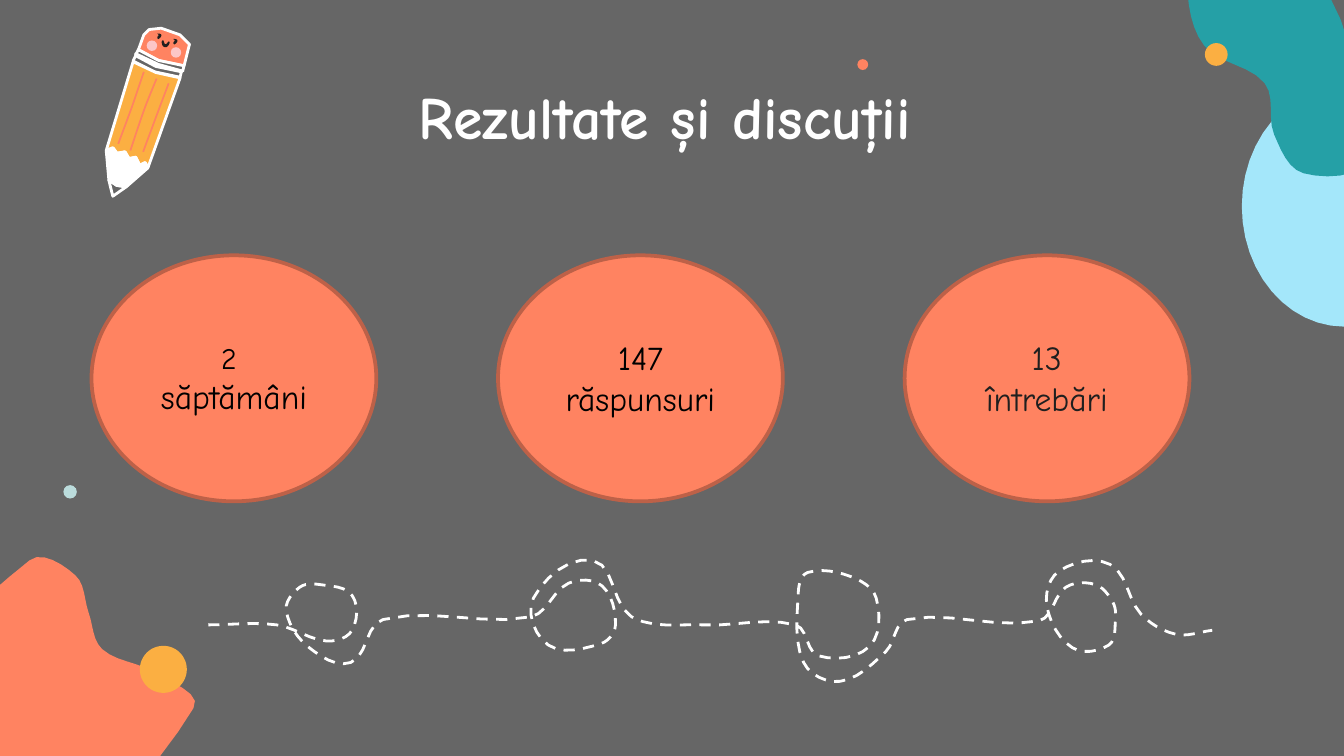
from math import cos, hypot, pi, sin

from pptx import Presentation
from pptx.dml.color import RGBColor
from pptx.enum.dml import MSO_LINE
from pptx.enum.shapes import MSO_SHAPE
from pptx.enum.text import MSO_ANCHOR, MSO_AUTO_SIZE, PP_ALIGN
from pptx.util import Pt

FONT = "Comic Neue"
GRAY, WHITE, BLACK, INK = "666666", "FFFFFF", "000000", "1F1F1F"
CORAL, RUST, AMBER, TEAL = "FF8361", "BD6148", "FBAF42", "25A0A6"
SKY, MIST, PINK, TAUPE = "A4E7FA", "BBDCDC", "FCC6C7", "897E7E"
GRID = 0.72  # points per unit in the outlines below
STEPS = 6  # straight pieces per curve

# Content
heading = "Rezultate și discuții"
# lines with their sizes, colour, text box (left, top, width, height) in points
findings = [
    ([("2 ", 16), ("săptămâni", 18)], BLACK, (68.4, 178.6, 113.8, 48.2)),
    ([("147 răspunsuri", 18)], BLACK, (284.4, 177.1, 117.4, 51.1)),
    ([("13", 18), ("întrebări", 18)], INK, (516.2, 177.1, 89.3, 51.1)),
]

# Corner decoration: nodes of smooth outlines, and dots as centre and diameter in points
half_moon = [(1000 - 76 * sin(pi * i / 24) - 0 * i, 153.5 - 89.5 * cos(pi * i / 24))
             for i in range(25)]
coral_blob = [(22, 417), (-44, 510), (50, 603), (144, 527), (114, 500), (76, 483),
              (66, 456), (56, 428)]
teal_blob = [(892, -25), (883, -12), (896, 34), (941, 62), (948, 100), (970, 129),
             (1014, 118), (972, -29)]
dots = [(CORAL, 462.2, 34.6, 5.8), (AMBER, 87.5, 358.6, 25.2),
        (AMBER, 651.6, 29.2, 12.2), (MIST, 37.6, 263.5, 7.2)]

# Dashed trail, one row per loop
dashed_trail = [
    (155, 465), (206, 465), (243, 477), (262, 469), (262, 443), (238, 435), (223, 437),
    (213, 454), (229, 481), (261, 493), (285, 461),
    (395, 459), (423, 434), (448, 436), (458, 465), (447, 479), (408, 480), (397, 445),
    (441, 417), (470, 459), (524, 465),
    (592, 465), (609, 488), (647, 481), (652, 445), (633, 429), (601, 426), (594, 441),
    (598, 493), (625, 507), (659, 485), (675, 461),
    (773, 462), (793, 437), (815, 435), (828, 448), (830, 461), (825, 480), (798, 482),
    (779, 451), (788, 425), (826, 420), (849, 457), (875, 472), (902, 469),
]

# Pencil, straight-sided parts from tip to eraser
scallops = [(110, 125), (108, 121), (104, 123), (101, 117), (96, 118), (93, 113),
            (87, 114), (84, 110), (79, 112)]
tip_edge = [(81, 134), (87, 138), (94, 139)]
band = [(103, 37), (118, 45), (137, 49), (136, 53), (117, 49), (101, 41)]
lower_band = [(x - 2, y + 4.5) for x, y in band]
pencil_body = [
    (GRAY, tip_edge + [(84, 146)]),
    (CORAL, band[:3] + [(141, 33), (134, 26), (120, 21), (111, 22), (107, 26)]),
    (GRAY, band),
    (GRAY, lower_band),
    (AMBER, scallops + [(99, 46), (116, 54), (134, 58)]),
    (WHITE, scallops + tip_edge),
    (TAUPE, band[3:] + [(101, 40), (118, 48)]),
]
pencil_stripes = [
    [(125.5, 62), (118, 82), (106.5, 113)],
    [(107, 53.5), (98, 80), (88, 107)],
    [(116.5, 58.5), (107.5, 81), (97, 112)],
]
eye = [(117, 25), (120, 26), (118, 29), (117, 28), (118, 26)]
second_eye = [(x + 12, y + 4) for x, y in eye]
smile = [(121, 30), (121, 34), (124, 35), (126, 31), (123, 33)]
cheeks = [(PINK, 94.3, 28.1, 5.6), (PINK, 81.4, 24.5, 5.6)]


def color(code):
    return RGBColor.from_string(code)


def paint(shape, fill=None, line=None, width=1.5):
    shape.shadow.inherit = False
    if fill:
        shape.fill.solid()
        shape.fill.fore_color.rgb = color(fill)
    else:
        shape.fill.background()
    if line:
        shape.line.color.rgb = color(line)
        shape.line.width = Pt(width)
    else:
        shape.line.fill.background()
    return shape


def smooth(nodes, closed=False):
    """Bezier curves through the nodes, each handle a third of its span."""
    count = len(nodes)

    def node(i):
        return nodes[i % count] if closed else nodes[min(max(i, 0), count - 1)]

    def handle(i, span):
        (x0, y0), (x1, y1) = node(i - 1), node(i + 1)
        scale = span / 3 / hypot(x1 - x0, y1 - y0)
        return (x1 - x0) * scale, (y1 - y0) * scale

    points = [nodes[0]]
    for i in range(count if closed else count - 1):
        start, end = node(i), node(i + 1)
        span = hypot(end[0] - start[0], end[1] - start[1])
        leaving, arriving = handle(i, span), handle(i + 1, span)
        for step in range(1, STEPS + 1):
            t = step / STEPS
            u = 1 - t
            points.append(tuple(
                u ** 3 * a + 3 * u * u * t * (a + p) + 3 * u * t * t * (b - q) + t ** 3 * b
                for a, b, p, q in zip(start, end, leaving, arriving)))
    return points


def add_outline(shapes, nodes, fill=None, line=None, width=1.5):
    start, *rest = [(Pt(x * GRID), Pt(y * GRID)) for x, y in nodes]
    builder = shapes.build_freeform(*start)
    builder.add_line_segments(rest, close=bool(fill))
    return paint(builder.convert_to_shape(), fill, line, width)


def add_dot(shapes, fill, x, y, size):
    corner = Pt(x - size / 2), Pt(y - size / 2)
    paint(shapes.add_shape(MSO_SHAPE.OVAL, *corner, Pt(size), Pt(size)), fill)


def write(paragraph, text, size, ink, bold=False):
    paragraph.text = text
    paragraph.alignment = PP_ALIGN.CENTER
    font = paragraph.runs[0].font
    font.name, font.size, font.bold = FONT, Pt(size), bold
    font.color.rgb = color(ink)


deck = Presentation()
deck.slide_width, deck.slide_height = Pt(720), Pt(405)
slide = deck.slides.add_slide(deck.slide_layouts[5])
slide.background.fill.solid()
slide.background.fill.fore_color.rgb = color(GRAY)
shapes = slide.shapes

# Corner decoration
add_outline(shapes, half_moon, SKY)
for fill, blob in ((CORAL, coral_blob), (TEAL, teal_blob)):
    add_outline(shapes, smooth(blob, closed=True), fill)
for dot in dots:
    add_dot(shapes, *dot)

# Title
title = shapes.title
title.left, title.top, title.width, title.height = Pt(49), Pt(35.3), Pt(614.2), Pt(45.4)
frame = title.text_frame
frame.margin_left = frame.margin_top = frame.margin_right = frame.margin_bottom = Pt(7.2)
frame.vertical_anchor = MSO_ANCHOR.TOP
frame.auto_size = MSO_AUTO_SIZE.NONE
write(frame.paragraphs[0], heading, 32, WHITE, bold=True)

# Three findings in ellipses
for column in range(len(findings)):
    ellipse = shapes.add_shape(MSO_SHAPE.OVAL, Pt(49 + 217.8 * column), Pt(136.8),
                               Pt(152.6), Pt(131.8))
    paint(ellipse, CORAL, RUST, 2)
for lines, ink, box in findings:
    frame = shapes.add_textbox(*map(Pt, box)).text_frame
    frame.word_wrap = True
    frame.auto_size = MSO_AUTO_SIZE.SHAPE_TO_FIT_TEXT
    for i, (text, size) in enumerate(lines):
        write(frame.add_paragraph() if i else frame.paragraphs[0], text, size, ink)

# Dashed trail
trail = add_outline(shapes, smooth(dashed_trail), line=WHITE)
trail.line.dash_style = MSO_LINE.DASH

# Pencil
pencil = shapes.add_group_shape().shapes
for fill, part in pencil_body:
    add_outline(pencil, part, fill, WHITE)
for stripe in pencil_stripes:
    add_outline(pencil, smooth(stripe), line=CORAL, width=0.9)
for cheek in cheeks:
    add_dot(pencil, *cheek)
for feature in (eye, second_eye, smile):
    add_outline(pencil, smooth(feature, closed=True), INK)

deck.save("out.pptx")
